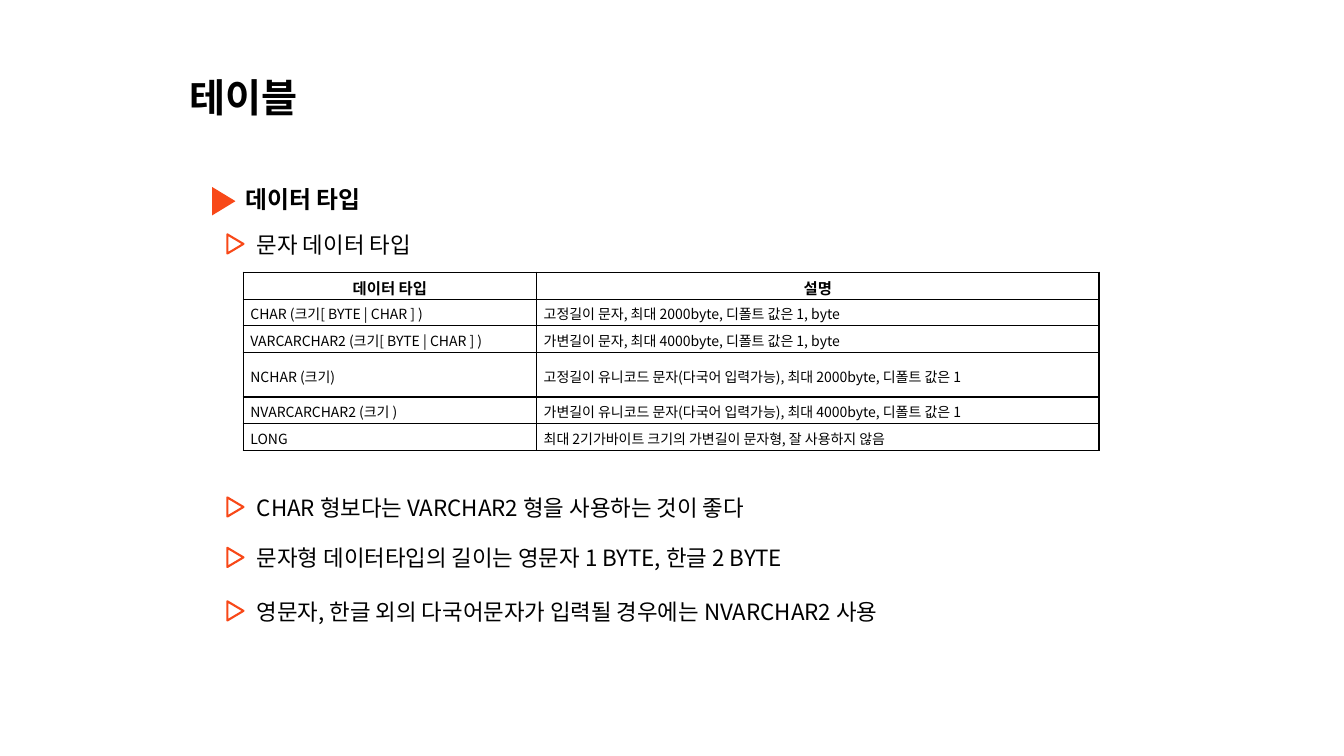
from lxml import etree
from pptx import Presentation, util as u
from pptx.dml.color import RGBColor
from pptx.enum import shapes, text
from pptx.oxml import ns

FONT = "Noto Sans CJK KR"
BLACK, ORANGE, WHITE = "000000", "F84818", "FFFFFF"


def color(value):
    return RGBColor.from_string(value)


def write(tf, words, size, bold=False):
    p = tf.paragraphs[0]
    r = p.add_run()
    r.text = words
    for name, value in {"name": FONT, "size": u.Pt(size), "bold": bold}.items():
        setattr(r.font, name, value)
    r.font.color.rgb = color(BLACK)
    etree.SubElement(r.font._element, ns.qn("a:ea"), typeface=FONT)
    return p


prs = Presentation()
prs.slide_width, prs.slide_height = u.Pt(960), u.Pt(540)
s = prs.slides.add_slide(prs.slide_layouts[6])

bullets = [
    (161.3, "문자 데이터 타입"),
    (349.2, "CHAR 형보다는 VARCHAR2 형을 사용하는 것이 좋다"),
    (385.2, "문자형 데이터타입의 길이는 영문자 1 BYTE, 한글 2 BYTE"),
    (423.4, "영문자, 한글 외의 다국어문자가 입력될 경우에는 NVARCHAR2 사용"),
]
boxes = [
    (128.2, 49, 317.5, 41, "테이블", 28, True),
    (168.5, 128.2, 360, 28, "데이터 타입", 17, True),
] + [(176.4, top, 666, 26.6, words, 16, False) for top, words in bullets]
for left, top, width, height, words, size, bold in boxes:
    sp = s.shapes.add_textbox(u.Pt(left), u.Pt(top), u.Pt(width), u.Pt(height))
    tf = sp.text_frame
    tf.word_wrap = True
    tf.auto_size = text.MSO_AUTO_SIZE.SHAPE_TO_FIT_TEXT
    write(tf, words, size, bold)

markers = [(149.8, 135.4, 20.2, 16.6, ORANGE)]
markers += [(161.3, top + 7.2, 13.7, 11.5, WHITE) for top, words in bullets]
for left, top, width, height, fill in markers:
    sp = s.shapes.add_shape(shapes.MSO_SHAPE.FLOWCHART_EXTRACT,
                            u.Pt(left), u.Pt(top), u.Pt(width), u.Pt(height))
    sp.rotation = 90
    sp.shadow.inherit = False
    sp.fill.solid()
    sp.fill.fore_color.rgb = color(fill)
    if fill == WHITE:
        sp.line.color.rgb = color(ORANGE)
        sp.line.width = u.Pt(1.5)
    else:
        sp.line.fill.background()

rows = [
    (19.4, "데이터 타입", "설명"),
    (18.7, "CHAR (크기[ BYTE | CHAR ] )",
     "고정길이 문자, 최대 2000byte, 디폴트 값은 1, byte"),
    (19.4, "VARCARCHAR2 (크기[ BYTE | CHAR ] )",
     "가변길이 문자, 최대 4000byte, 디폴트 값은 1, byte"),
    (31.7, "NCHAR (크기)",
     "고정길이 유니코드 문자(다국어 입력가능), 최대 2000byte, 디폴트 값은 1"),
    (18.7, "NVARCARCHAR2 (크기 )",
     "가변길이 유니코드 문자(다국어 입력가능), 최대 4000byte, 디폴트 값은 1"),
    (19.4, "LONG", "최대 2기가바이트 크기의 가변길이 문자형, 잘 사용하지 않음"),
]
widths = [209.5, 401.8]
table = s.shapes.add_table(len(rows), len(widths), u.Pt(173.8), u.Pt(194.4),
                           u.Pt(sum(widths)), u.Pt(sum(row[0] for row in rows))).table
for column, width in zip(table.columns, widths):
    column.width = u.Pt(width)
cell_format = {
    "margin_left": u.Pt(5.1), "margin_right": u.Pt(5.1),
    "margin_top": 0, "margin_bottom": 0,
    "vertical_anchor": text.MSO_ANCHOR.MIDDLE,
}
for i, (height, *entries) in enumerate(rows):
    table.rows[i].height = u.Pt(height)
    header = i == 0
    for j, words in enumerate(entries):
        cell = table.cell(i, j)
        for name, value in cell_format.items():
            setattr(cell, name, value)
        p = write(cell.text_frame, words, 11 if header else 10, header)
        p.alignment = text.PP_ALIGN.CENTER if header else text.PP_ALIGN.JUSTIFY
        p.line_spacing = 1.15
        tc_pr = cell._tc.get_or_add_tcPr()
        for side in ("lnL", "lnR", "lnT", "lnB"):
            ln = etree.SubElement(tc_pr, ns.qn("a:" + side), w=str(u.Pt(1)))
            fill = etree.SubElement(ln, ns.qn("a:solidFill"))
            etree.SubElement(fill, ns.qn("a:srgbClr"), val=BLACK)
        cell.fill.background()

prs.save("out.pptx")
